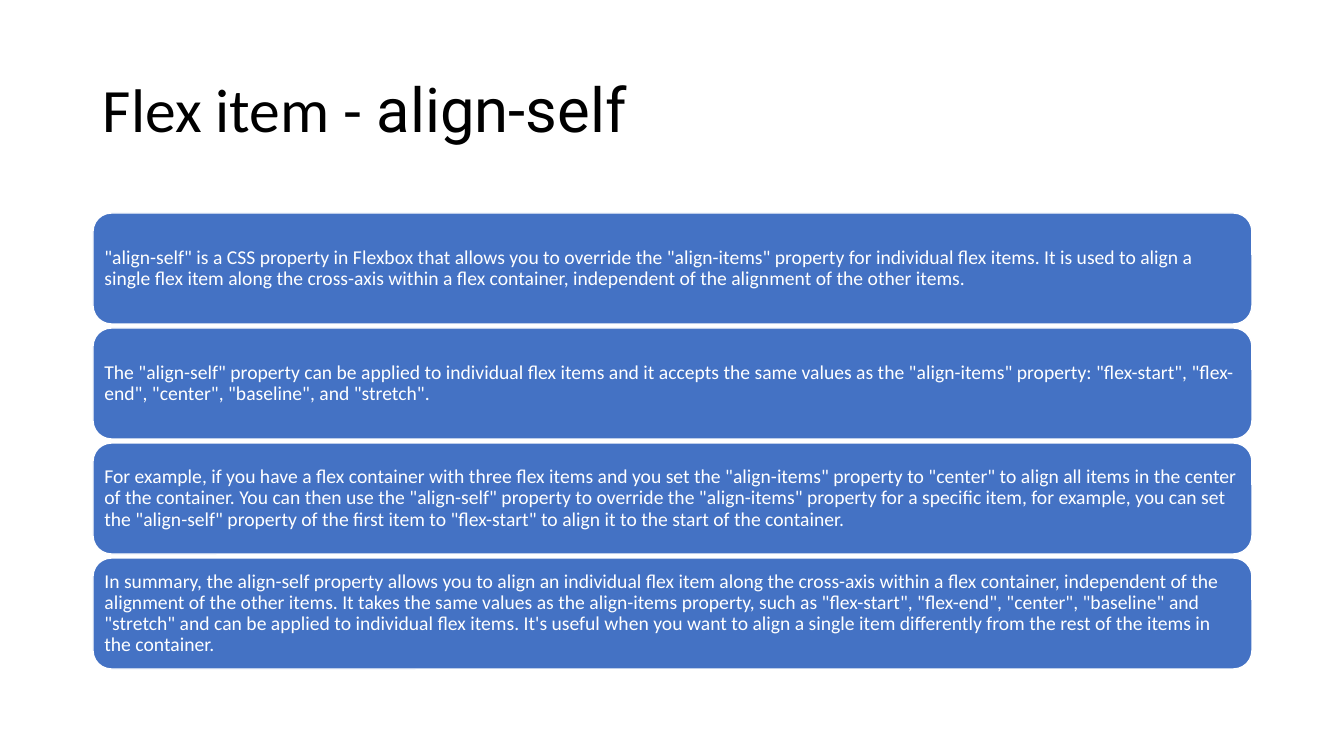
from pptx import Presentation
from pptx import util as u
from pptx.dml import color
from pptx.enum import shapes, text

PX = 12192000 / 1344  # EMU in one px


def px(length):
    return u.Emu(round(length * PX))


def rgb(hex_value):
    return color.RGBColor.from_string(hex_value)


class FlexSlide:
    font, blue, white, black = "Calibri", "4472C4", "FFFFFF", "000000"

    def __init__(self, deck):
        self.slide = deck.slides.add_slide(deck.slide_layouts[5])

    def set_words(self, frame, runs, size, ink, inset_x, inset_y):
        frame_format = {
            "word_wrap": True,
            "auto_size": text.MSO_AUTO_SIZE.NONE,
            "vertical_anchor": text.MSO_ANCHOR.MIDDLE,
            "margin_left": px(inset_x), "margin_right": px(inset_x),
            "margin_top": px(inset_y), "margin_bottom": px(inset_y),
        }
        for name, value in frame_format.items():
            setattr(frame, name, value)
        paragraph = frame.paragraphs[0]
        paragraph.alignment = text.PP_ALIGN.LEFT
        paragraph.line_spacing = 0.9
        for words, font in runs:
            run = paragraph.add_run()
            run.text = words
            for name, value in {"name": font, "size": u.Pt(size)}.items():
                setattr(run.font, name, value)
            run.font.color.rgb = rgb(ink)

    def heading(self, runs, left, top, width, height):
        title = self.slide.shapes.title
        place = {"left": left, "top": top, "width": width, "height": height}
        for name, value in place.items():
            setattr(title, name, px(value))
        self.set_words(title.text_frame, runs, 44, self.black, 10, 5)

    def card(self, words, left, top, width, height):
        card = self.slide.shapes.add_shape(
            shapes.MSO_SHAPE.ROUNDED_RECTANGLE,
            px(left), px(top), px(width), px(height))
        card.shadow.inherit = False
        card.fill.solid()
        card.fill.fore_color.rgb = rgb(self.blue)
        card.line.color.rgb = rgb(self.white)
        card.line.width = u.Pt(1)
        self.set_words(card.text_frame, [(words, self.font)], 14, self.white, 6, 6)


STATEMENTS = [
    '"align-self" is a CSS property in Flexbox that allows you to override the '
    '"align-items" property for individual flex items. It is used to align a '
    'single flex item along the cross-axis within a flex container, '
    'independent of the alignment of the other items.',
    'The "align-self" property can be applied to individual flex items and it '
    'accepts the same values as the "align-items" property: "flex-start", '
    '"flex-end", "center", "baseline", and "stretch".',
    'For example, if you have a flex container with three flex items and you '
    'set the "align-items" property to "center" to align all items in the '
    'center of the container. You can then use the "align-self" property to '
    'override the "align-items" property for a specific item, for example, you '
    'can set the "align-self" property of the first item to "flex-start" to '
    'align it to the start of the container.',
    'In summary, the align-self property allows you to align an individual '
    'flex item along the cross-axis within a flex container, independent of '
    'the alignment of the other items. It takes the same values as the '
    'align-items property, such as "flex-start", "flex-end", "center", '
    '"baseline" and "stretch" and can be applied to individual flex items. '
    "It's useful when you want to align a single item differently from the "
    'rest of the items in the container.',
]


def main():
    deck = Presentation()
    deck.slide_width, deck.slide_height = px(1344), px(756)
    page = FlexSlide(deck)
    left, width = 93, 1159

    # Title
    page.heading([("Flex item - ", page.font), ("align-self", "Roboto")],
                 left, 40, width, 146)

    # Stack of cards
    first_top, pitch, card_height = 213, 115, 111
    for row, statement in enumerate(STATEMENTS):
        page.card(statement, left, first_top + row * pitch, width, card_height)

    deck.save("out.pptx")


if __name__ == "__main__":
    main()
